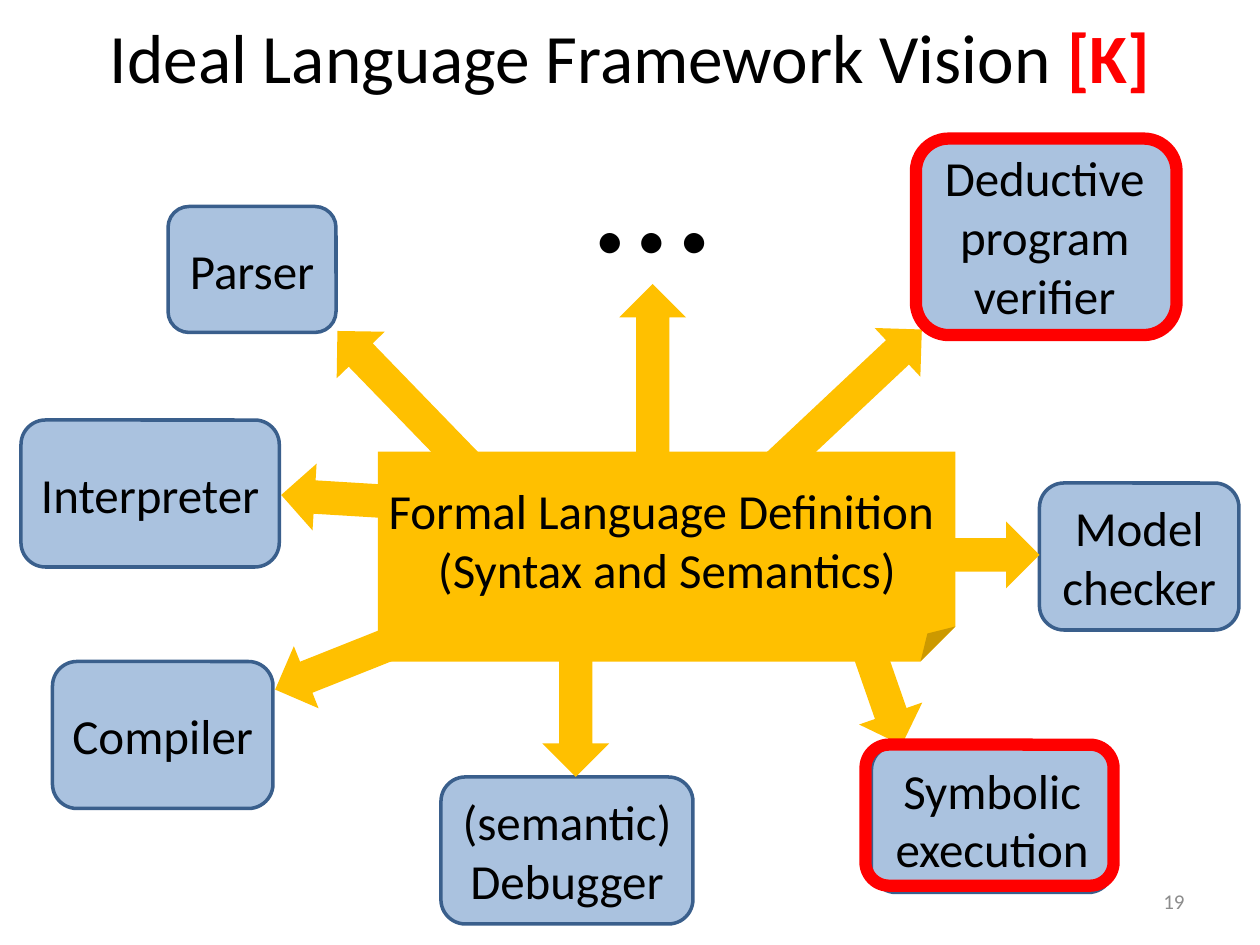
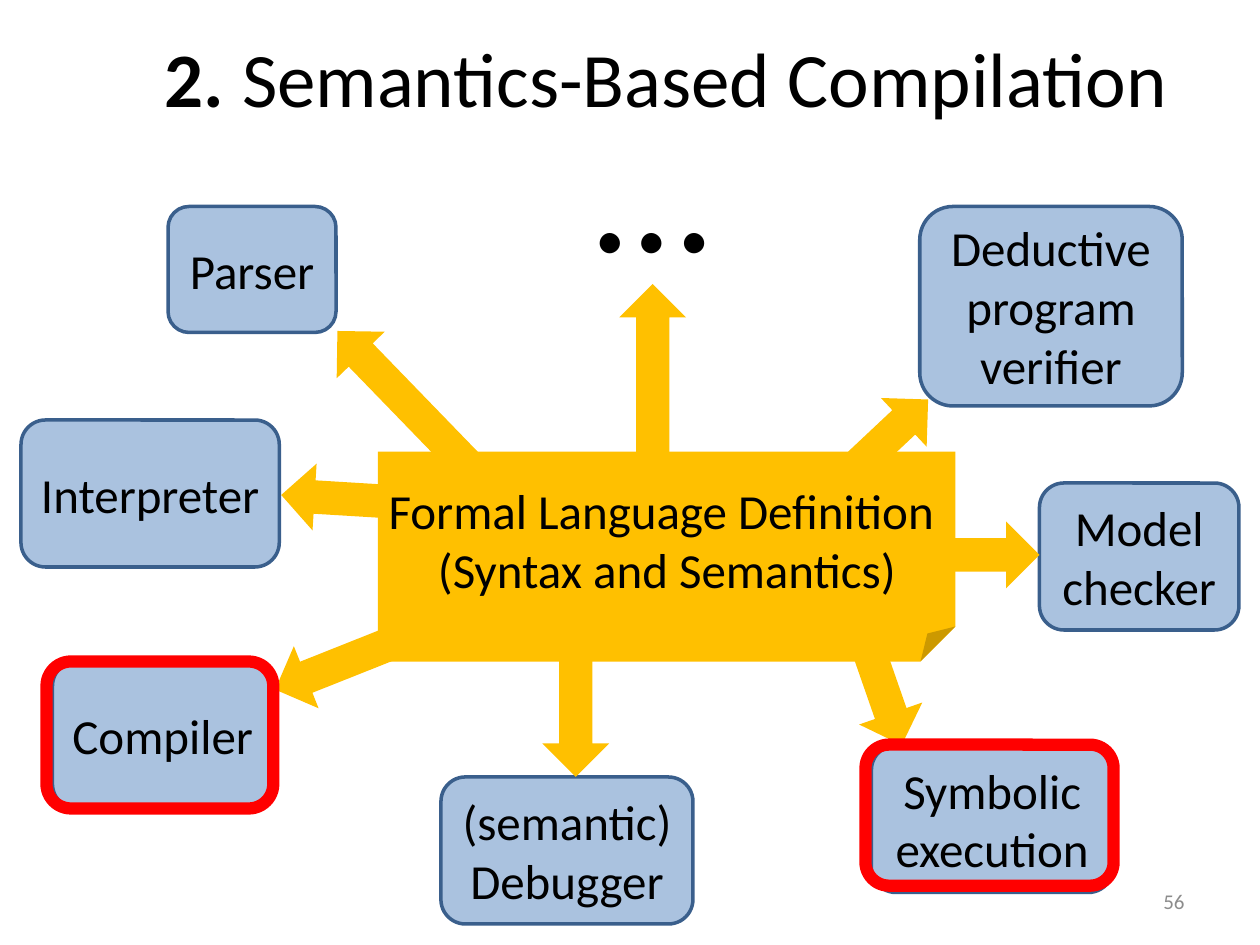
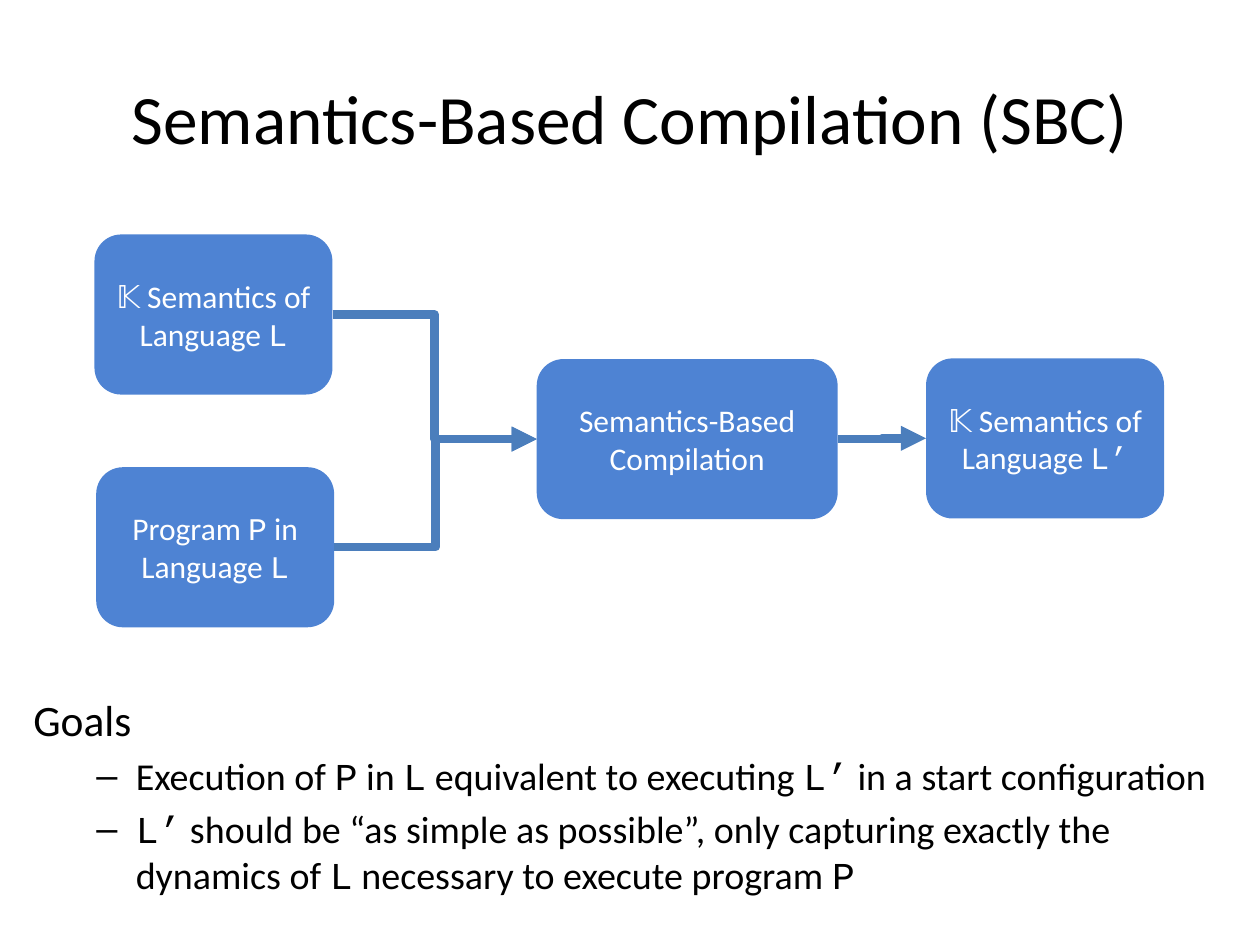
import pptx
import pptx.util
import pptx.dml.color
import pptx.enum.shapes
import pptx.enum.text
import pptx.oxml.ns
import lxml.etree

Pt = pptx.util.Pt
SHAPE = pptx.enum.shapes.MSO_SHAPE
ELBOW = pptx.enum.shapes.MSO_CONNECTOR.ELBOW
ALIGN = pptx.enum.text.PP_ALIGN
ANCHOR = pptx.enum.text.MSO_ANCHOR
qn = pptx.oxml.ns.qn

# Shared style
FONT, CODE_FONT = "Calibri", "Courier New"
BLACK, WHITE, GRAY, RED = "000000", "FFFFFF", "8C8C8C", "FF0000"
TOOL_FILL, TOOL_LINE, TOOL_ALPHA = "4F81BD", "3A5F8C", 48
GOLD, STEP_FILL, FLOW_LINE = "FFC000", "4E83D3", "4B7EBC"
ARROW_HEIGHT = 38.2
BOLD = {"bold": True}
CODE = {"font": CODE_FONT}

# Language framework: name, box, arrow (left, top, length, rotation)
TOOLS = [
    ("Deductive program verifier", (522, 78, 150, 114), (401, 219, 145.5, 316.8)),
    ("Parser", (96, 118, 96, 72), (176.4, 208.8, 108, 225.9)),
    ("Interpreter", (12, 240, 147.6, 84), (160.6, 267, 106.6, 183.5)),
    ("Compiler", (30, 378, 126, 84), (153.4, 355, 108, 158.3)),
    ("(semantic) Debugger", (252, 444, 144, 84), (275, 370.8, 108, 90)),
    ("Symbolic execution", (498, 426, 138, 84), (443.5, 355.7, 108, 70.8)),
    ("Model checker", (594, 276, 114, 84), (486, 298, 108, 0)),
]
MORE_ARROW = (316, 200.2, 114, 270)
MORE_BOX = (332.6, 44.6, 81.4, 123.8)
DEFINITION = ["Formal Language Definition ", "(Syntax and Semantics)"]
DEFINITION_BOX = (216, 258, 330, 120)
NUMBER_BOX = (516, 500.5, 168, 28.8)
SYMBOLIC_MARK = (494.6, 425.5, 141.8, 80.6)

FRAMEWORK_SLIDES = [
    {"title": [("Ideal Language Framework Vision ", {}), ("[K]", {"bold": True, "color": RED})],
     "title_box": (36, -2.2, 648, 68.4), "title_size": 39.6, "number": "19",
     "verifier_shift": (0, 0),
     "marks": [(523.4, 79.2, 149, 112.3), SYMBOLIC_MARK]},
    {"title": [("2.", BOLD), (" Semantics-Based Compilation", {})],
     "title_box": (56.9, 9.4, 648, 68.4), "title_size": 44, "number": "56",
     "verifier_shift": (3.6, 40),
     "marks": [(26.6, 378, 129.6, 84), SYMBOLIC_MARK]},
]

# Compilation flow
FLOW_TITLE = [("Semantics-Based Compilation (SBC)", {})]
STEP_HEIGHT = 91.5
STEPS = {
    "program": ((55, 267, 136), [("Program ", {}), ("P", CODE), (" in Language ", {}), ("L", CODE)]),
    "compile": ((306.7, 205.2, 172), [("Semantics-Based Compilation", {})]),
    "source": ((54, 134, 136), [("𝕂 Semantics of Language ", {}), ("L", CODE)]),
    "target": ((529.2, 204.8, 136), [("𝕂 Semantics of Language ", {}), ("L’", CODE)]),
}
FLOWS = [("program", "compile"), ("source", "compile"), ("compile", "target")]
GOALS = [
    [("Execution of ", {}), ("P", CODE), (" in ", {}), ("L", CODE),
     (" equivalent to executing ", {}), ("L’", CODE), (" in a start configuration", {})],
    [("L’", CODE),
     (" should be “as simple as possible”, only capturing exactly the dynamics of ", {}),
     ("L", CODE), (" necessary to execute program ", {}), ("P", CODE)],
]


def rgb(hex_color):
    return pptx.dml.color.RGBColor.from_string(hex_color)


def points(box):
    return [Pt(v) for v in box]


def add_runs(p, runs, size, color=BLACK):
    for text, style in runs:
        r = p.add_run()
        r.text = text
        r.font.name = style.get("font", FONT)
        r.font.size = Pt(size)
        r.font.bold = style.get("bold", False)
        r.font.color.rgb = rgb(style.get("color", color))


def write(s, paragraphs, size, color=BLACK, align=ALIGN.CENTER, anchor=ANCHOR.MIDDLE):
    tf = s.text_frame
    tf.word_wrap = True
    tf.vertical_anchor = anchor
    for i, runs in enumerate(paragraphs):
        p = tf.add_paragraph() if i else tf.paragraphs[0]
        p.alignment = align
        add_runs(p, runs, size, color)
    return tf


def add_text(slide, box, runs, size, **style):
    return write(slide.shapes.add_textbox(*points(box)), [runs], size, **style)


def add_shape(slide, kind, box, fill=None, line=None, width=0, alpha=None):
    s = slide.shapes.add_shape(kind, *points(box))
    s.shadow.inherit = False
    if fill:
        s.fill.solid()
        s.fill.fore_color.rgb = rgb(fill)
    else:
        s.fill.background()
    if alpha:
        solid = s._element.spPr.find(qn("a:solidFill"))
        lxml.etree.SubElement(solid[0], qn("a:alpha"), val=str(alpha * 1000))
    if line:
        s.line.color.rgb = rgb(line)
        s.line.width = Pt(width)
    else:
        s.line.fill.background()
    s.text_frame.margin_left = s.text_frame.margin_right = Pt(3.6)
    return s


def add_arrow(slide, left, top, length, rotation):
    s = add_shape(slide, SHAPE.RIGHT_ARROW, (left, top, length, ARROW_HEIGHT), GOLD)
    s.rotation = rotation


def add_flow(slide, start, end):
    c = slide.shapes.add_connector(ELBOW, 0, 0, 0, 0)
    c.begin_connect(start, 3)
    c.end_connect(end, 1)
    c.line.color.rgb = rgb(FLOW_LINE)
    c.line.width = Pt(4.75)
    lxml.etree.SubElement(c.line._get_or_add_ln(), qn("a:tailEnd"), type="triangle")
    lxml.etree.SubElement(c._element.spPr, qn("a:effectLst"))


def framework_slide(slide, content):
    add_text(slide, content["title_box"], content["title"], content["title_size"])

    # Tools around the definition
    for i, (name, (x, y, w, h), (ax, ay, length, rotation)) in enumerate(TOOLS):
        dx, dy = content["verifier_shift"] if i == 0 else (0, 0)
        s = add_shape(slide, SHAPE.ROUNDED_RECTANGLE, (x + dx, y + dy, w, h),
                      TOOL_FILL, TOOL_LINE, 2, TOOL_ALPHA)
        write(s, [[(name, {})]], 28)
        add_arrow(slide, ax + dx, ay + dy, length, rotation)
    add_arrow(slide, *MORE_ARROW)
    tf = add_text(slide, MORE_BOX, [("…", {})], 96, align=ALIGN.LEFT, anchor=ANCHOR.TOP)
    tf.word_wrap = False

    # Central definition and slide number
    s = add_shape(slide, SHAPE.FOLDED_CORNER, DEFINITION_BOX, GOLD)
    write(s, [[(text, {})] for text in DEFINITION], 28)
    add_text(slide, NUMBER_BOX, [(content["number"], {})], 12, color=GRAY, align=ALIGN.RIGHT)

    # Red highlights
    for box in content["marks"]:
        add_shape(slide, SHAPE.ROUNDED_RECTANGLE, box, line=RED, width=7)


def flow_slide(slide):
    add_text(slide, (36, 21.6, 648, 90), FLOW_TITLE, 39.6)

    # Goals
    tf = add_text(slide, (12, 392.4, 696, 126.7), [("Goals", {})], 24.8,
                  align=ALIGN.LEFT, anchor=ANCHOR.TOP)
    for runs in GOALS:
        p = tf.add_paragraph()
        pPr = p._p.get_or_add_pPr()
        pPr.set("marL", str(Pt(58.5)))
        pPr.set("indent", str(Pt(-22.5)))
        lxml.etree.SubElement(pPr, qn("a:buFont"), typeface="Arial")
        lxml.etree.SubElement(pPr, qn("a:buChar"), char="–")
        p.space_before = Pt(4.3)
        add_runs(p, runs, 21.7)

    # Steps and the flow between them
    boxes = {}
    for key, (place, runs) in STEPS.items():
        boxes[key] = add_shape(slide, SHAPE.ROUNDED_RECTANGLE, (*place, STEP_HEIGHT), STEP_FILL)
        write(boxes[key], [runs], 18, WHITE)
    for start, end in FLOWS:
        add_flow(slide, boxes[start], boxes[end])


def main():
    prs = pptx.Presentation()
    prs.slide_width, prs.slide_height = Pt(720), Pt(540)
    blank = prs.slide_layouts[6]
    for content in FRAMEWORK_SLIDES:
        framework_slide(prs.slides.add_slide(blank), content)
    flow_slide(prs.slides.add_slide(blank))
    prs.save("out.pptx")


if __name__ == "__main__":
    main()
